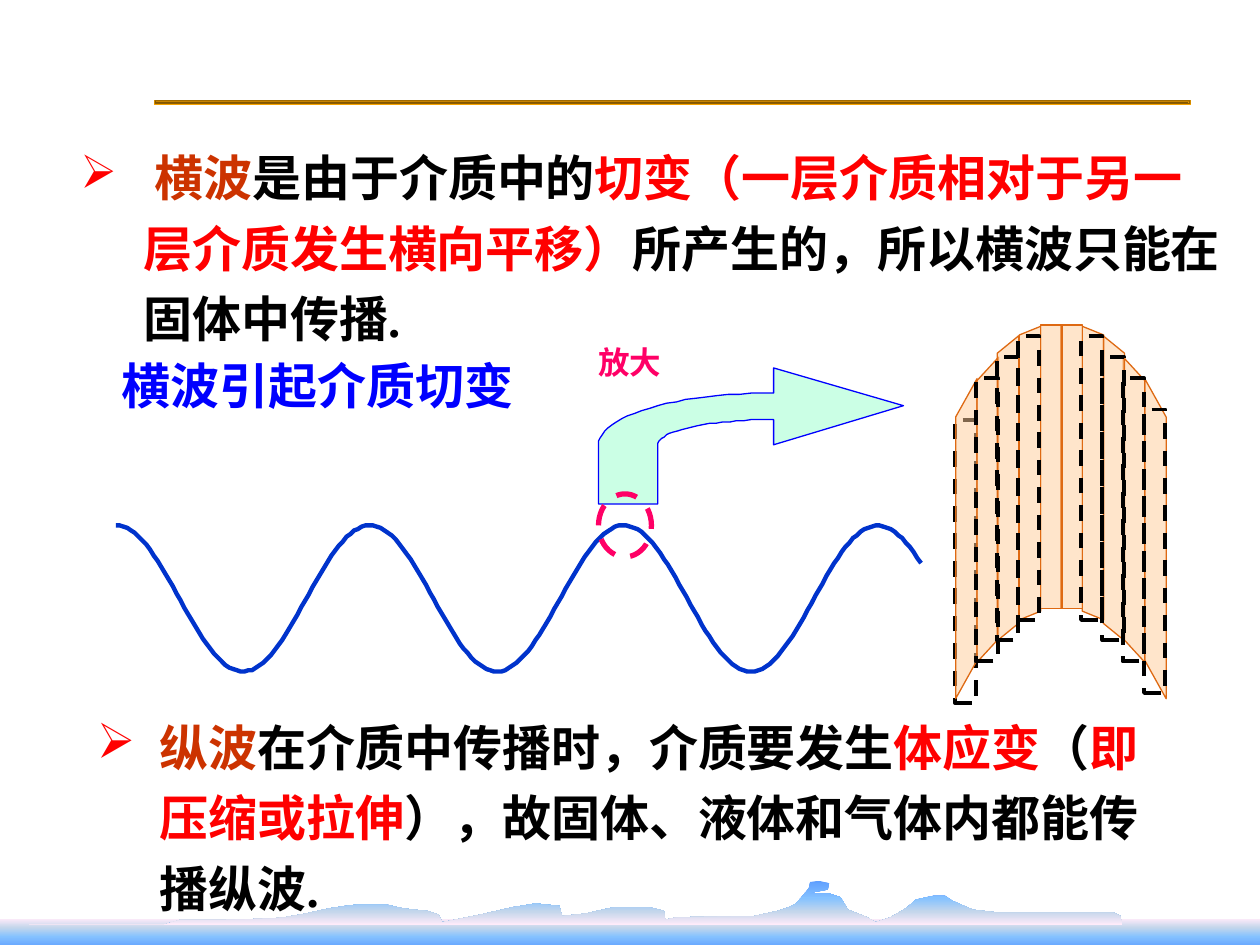
from dataclasses import dataclass
from math import cos, pi, sin
from typing import NamedTuple

from lxml import etree
from pptx import Presentation
from pptx.dml import color as dml
from pptx.enum import dml as lines, shapes, text
from pptx.oxml import ns
from pptx.util import Inches, Pt

PX = Inches(1) // 100
KIND = shapes.MSO_SHAPE
MID = 842
RED, BLACK, RUST, PINK = "FF0000", "000000", "CC3300", "FF0066"


class Box(NamedTuple):
    x: int
    y: int
    w: int
    h: int


class Strip(NamedTuple):
    gap: int
    size: int
    mid: int
    skew: float


@dataclass
class Look:
    fill: str = ""
    alpha: int = 100
    line: str = ""
    width: float = 0.75
    dash: bool = False


@dataclass
class Note:
    box: Box
    runs: list
    size: int = 28
    bullet: bool = False
    scale: int = 100
    align: text.PP_ALIGN = text.PP_ALIGN.LEFT
    wrap: bool = True


def tint(code: str) -> dml.RGBColor:
    """Turn a hex string into a colour."""
    return dml.RGBColor.from_string(code)


def sub(node, tag: str, **attrs):
    """Append a drawing element with attributes."""
    return etree.SubElement(node, ns.qn(tag), {k: str(v) for k, v in attrs.items()})


def paint(shape, look: Look):
    """Apply fill, transparency and outline."""
    shape.shadow.inherit = False
    if look.fill:
        shape.fill.solid()
        shape.fill.fore_color.rgb = tint(look.fill)
        if look.alpha < 100:
            node = shape._element.spPr.find(".//" + ns.qn("a:srgbClr"))
            sub(node, "a:alpha", val=look.alpha * 1000)
    else:
        shape.fill.background()
    if look.line:
        shape.line.color.rgb = tint(look.line)
        shape.line.width = Pt(look.width)
        if look.dash:
            shape.line.dash_style = lines.MSO_LINE.DASH
    else:
        shape.line.fill.background()
    return shape


def blend(shape, stops: list, radial: bool = False):
    """Fill a shape with a gradient of several stops."""
    paint(shape, Look())
    old = shape._element.spPr.find(ns.qn("a:noFill"))
    grad = etree.Element(ns.qn("a:gradFill"), rotWithShape="1")
    group = sub(grad, "a:gsLst")
    for pos, code in stops:
        sub(sub(group, "a:gs", pos=pos * 1000), "a:srgbClr", val=code)
    if radial:
        mode = sub(grad, "a:path", path="shape")
        sub(mode, "a:fillToRect", l=50000, t=50000, r=50000, b=50000)
    else:
        sub(grad, "a:lin", ang=5400000, scaled=1)
    old.getparent().replace(old, grad)


def place(slide, kind, box: Box):
    """Add a preset shape."""
    return slide.shapes.add_shape(kind, *(v * PX for v in box))


def trace(slide, dots: list, close: bool = True):
    """Add an outline through points."""
    pen = slide.shapes.build_freeform(*dots[0], scale=PX)
    pen.add_line_segments(dots[1:], close=close)
    return pen.convert_to_shape()


def arc(cx: int, cy: int, rx: int, ry: int) -> list:
    """Points of a quarter ellipse from its left end to its top."""
    turns = [pi / 2 * i / 24 for i in range(25)]
    return [(cx - rx * cos(t), cy - ry * sin(t)) for t in turns]


def write(slide, note: Note):
    """Add a paragraph of coloured runs."""
    frame = slide.shapes.add_textbox(*(v * PX for v in note.box)).text_frame
    frame.word_wrap = note.wrap
    para = frame.paragraphs[0]
    para.alignment = note.align
    if note.bullet:
        para.line_spacing = 1.2
        props = para._p.get_or_add_pPr()
        props.set("marL", str(50 * PX))
        props.set("indent", str(-50 * PX))
        sub(sub(props, "a:buClr"), "a:srgbClr", val=RED)
        sub(props, "a:buSzPct", val=note.scale * 1000)
        sub(props, "a:buChar", char="➢")
    style = {"name": "Times New Roman", "size": Pt(note.size), "bold": True}
    for words, code in note.runs:
        run = para.add_run()
        run.text = words
        run.font.color.rgb = tint(code)
        for key, value in style.items():
            setattr(run.font, key, value)


def slab(slide, strip: Strip, side: int):
    """Add one sheared strip on a side of the middle line."""
    x = MID + side * strip.gap - strip.size // 2
    box = Box(x, strip.mid - strip.size // 2, strip.size, 17)
    shape = place(slide, KIND.PARALLELOGRAM, box._replace(y=strip.mid - 8))
    shape.adjustments[0] = strip.skew
    shape.rotation = 90 if side > 0 else 270
    if side < 0:
        shape._element.spPr.find(ns.qn("a:xfrm")).set("flipH", "1")
    paint(shape, Look("FFCC99", 50, "DE6912"))


def frame(slide, gap: int, side: int, top: int):
    """Add the dashed outline of a strip at rest."""
    box = Box(MID + side * gap - 9, top, 17, 225)
    paint(place(slide, KIND.RECTANGLE, box), Look(line=BLACK, width=2.25, dash=True))


SKY = ["FFEBFA", "C4D6EB", "85C2FF", "5E9EFF"]
GOLD = [(p, ("825600", "FFA800")[i % 2])
        for i, p in enumerate([0, 13, 28, 43, 58, 72, 87, 100])]
HILLS = [
    (23, 734), (130, 734), (143, 730), (178, 730), (214, 729), (226, 728), (243, 725),
    (261, 721), (274, 719), (283, 718), (307, 718), (320, 721), (339, 723), (348, 726),
    (351, 732), (381, 726), (394, 723), (407, 720), (425, 717), (444, 719), (446, 727),
    (465, 725), (487, 720), (515, 720), (527, 723), (528, 730), (537, 728), (589, 727),
    (599, 727), (617, 723), (626, 720), (632, 717), (642, 705), (643, 700), (650, 699),
    (658, 701), (657, 706), (641, 709), (658, 709), (667, 712), (673, 722), (688, 728),
    (695, 732), (707, 728), (719, 721), (727, 714), (736, 712), (741, 711), (750, 711),
    (756, 715), (772, 722), (790, 724), (883, 724), (889, 727), (891, 734)]
ARROW = ([(717, 322), (614, 292), (614, 312)] + arc(614, 353, 139, 41)[::-1]
         + [(475, 400), (522, 400)] + arc(614, 353, 92, 20) + [(614, 353)])
WAVE = [(x, 475 - 58 * cos(2 * pi * (x - 92) / 201.5)) for x in range(92, 734, 3)]
STRIPS = [Strip(75, 254, 427, 1.792), Strip(58, 242, 404, 1.087),
          Strip(42, 242, 387, 0.817), Strip(25, 233, 375, 0.406), Strip(8, 225, 370, 0)]
RESTS = [(75, 1, 325), (58, -1, 300), (58, 1, 300), (42, -1, 283), (42, 1, 283),
         (25, -1, 267), (25, 1, 267)]
NOTES = [
    Note(Box(54, 103, 926, 175), [
        (" ", BLACK), ("横波", RUST), ("是由于介质中的", BLACK),
        ("切变（一层介质相对于另一层介质发生横向平移）", RED),
        ("所产生的，所以横波只能在固体中传播.", BLACK)], bullet=True, scale=95),
    Note(Box(67, 555, 883, 174), [
        ("纵波", RUST), ("在介质中传播时，介质要发生", BLACK), ("体应变", RED),
        ("（", BLACK), ("即压缩或拉伸", RED),
        ("），故固体、液体和气体内都能传播纵波.", BLACK)], bullet=True),
    Note(Box(81, 277, 342, 57), [("横波引起介质切变", "0000FF")],
         align=text.PP_ALIGN.CENTER),
    Note(Box(465, 267, 87, 50), [("放大", PINK)], size=18, wrap=False)]


def main():
    """Build the slide and save it."""
    deck = Presentation()
    deck.slide_width, deck.slide_height = 1000 * PX, 750 * PX
    slide = deck.slides.add_slide(deck.slide_layouts[6])
    blend(place(slide, KIND.RECTANGLE, Box(122, 79, 823, 4)), GOLD, radial=True)
    blend(place(slide, KIND.RECTANGLE, Box(0, 729, 1000, 24)),
          list(zip([0, 30, 60, 100], SKY)))
    blend(trace(slide, HILLS), list(zip([0, 40, 70, 100], SKY[::-1])))
    paint(trace(slide, ARROW), Look("99FFCC", 50, "0000FF"))
    paint(trace(slide, WAVE, close=False), Look(line="0033CC", width=2.5))
    paint(place(slide, KIND.OVAL, Box(475, 392, 42, 50)),
          Look(line=PINK, width=3, dash=True))
    for note in NOTES:
        write(slide, note)
    frame(slide, 75, -1, 333)
    for side in (1, -1):
        for strip in STRIPS:
            slab(slide, strip, side)
    for rest in RESTS:
        frame(slide, *rest)
    deck.save("out.pptx")


if __name__ == "__main__":
    main()
